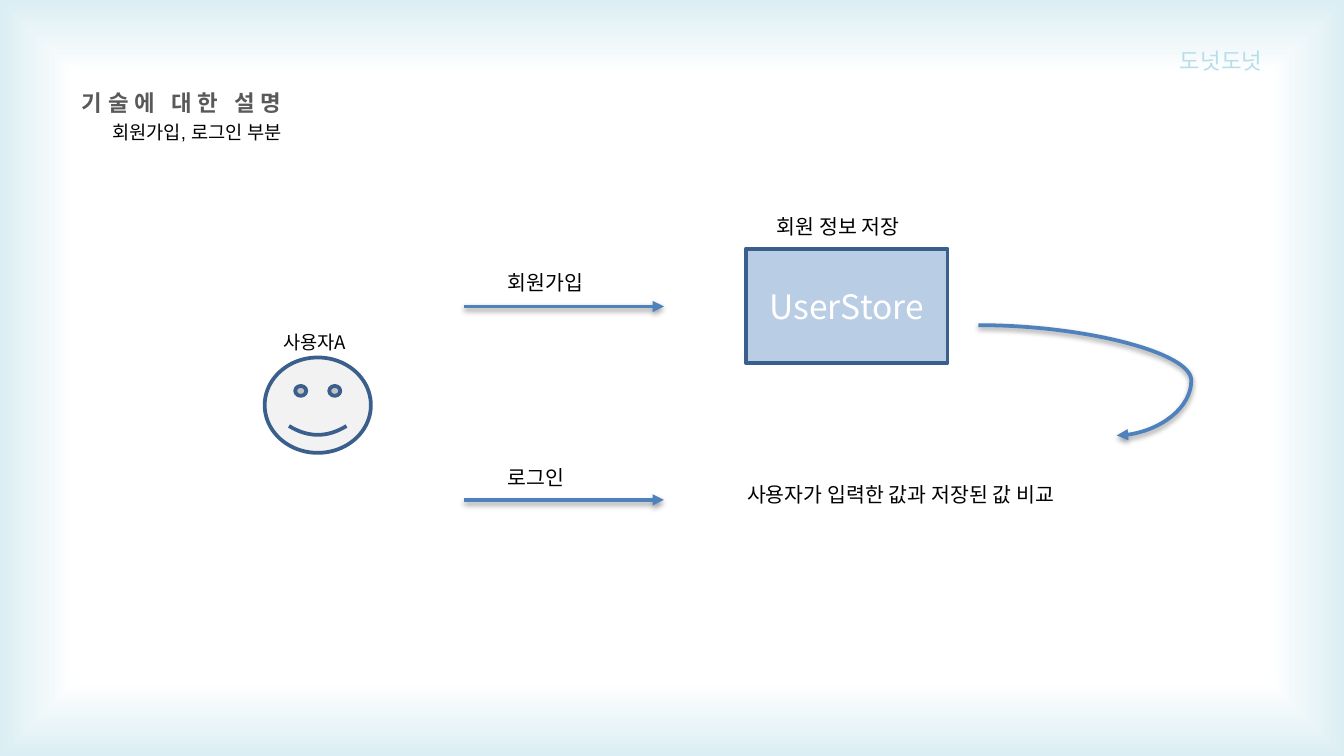
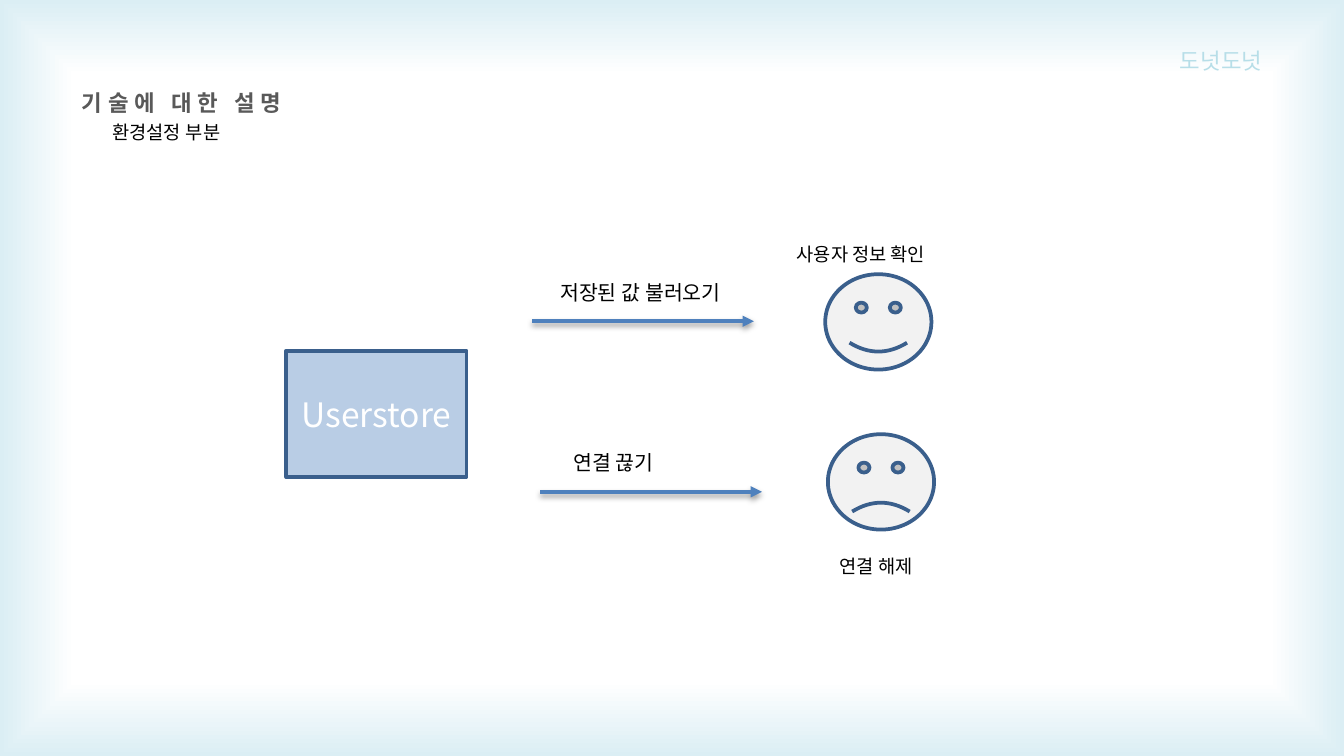
import pptx
import pptx.util
import pptx.dml.color
import pptx.enum.shapes
import pptx.enum.text
import pptx.oxml
import pptx.oxml.ns

Pt = pptx.util.Pt
RGBColor = pptx.dml.color.RGBColor
Align = pptx.enum.text.PP_ALIGN
Anchor = pptx.enum.text.MSO_ANCHOR
AutoSize = pptx.enum.text.MSO_AUTO_SIZE
Shape = pptx.enum.shapes.MSO_SHAPE
Connector = pptx.enum.shapes.MSO_CONNECTOR
NAMESPACE = pptx.oxml.ns.nsdecls("a")

COLORS = {
    "white": "FFFFFF", "edge": "DBEEF4", "team": "B7DEE8", "title": "595959",
    "text": "000000", "store": "B9CDE5", "face": "F2F2F2",
    "outline": "3A5F8C", "arrow": "4F81BD",
}
KOREAN = "Noto Sans CJK KR"

# Text styles: font values, colour and alignment
STYLES = {
    "team": ({"size": Pt(12), "name": KOREAN}, "team", Align.RIGHT),
    "title": ({"size": Pt(12), "name": KOREAN, "bold": True}, "title", Align.LEFT),
    "subtitle": ({"size": Pt(10), "name": "Arial"}, "text", Align.LEFT),
    "caption": ({"size": Pt(10), "name": KOREAN}, "text", Align.LEFT),
    "label": ({"size": Pt(11), "name": KOREAN}, "text", Align.LEFT),
    "store": ({"size": Pt(18), "name": KOREAN}, "white", Align.CENTER),
}
HEIGHTS = {"subtitle": 19.4, "caption": 19.4, "label": 20.9}
FACE_SIZE = (56.9, 51.1)
FROWN = -0.05

# Slide contents, all lengths in points
PAGES = [
    {
        "store": ("UserStore", 399.6, 133.2, 108, 61.2),
        "faces": [(141.8, 191.5, None)],
        "arrows": [
            (Connector.STRAIGHT, 248.4, 164.2, 355.7, 164.2),
            (Connector.STRAIGHT, 248.4, 267.8, 355.7, 267.8),
            (Connector.CURVE, 524.2, 174.2, 598.3, 233.3),
        ],
        "texts": [
            ("subtitle", "회원가입, 로그인 부분", 53.3, 61.2, 114.5),
            ("caption", "사용자A", 144.7, 173.5, 51.8),
            ("label", "회원가입", 265, 141.1, 59),
            ("label", "로그인", 265, 245.5, 47.5),
            ("label", "회원 정보 저장", 409, 110.9, 89.3),
            ("label", "사용자가 입력한 값과 저장된 값 비교", 393.1, 254.9, 200.9),
        ],
    },
    {
        "store": ("Userstore", 153.4, 187.9, 96.5, 67.7),
        "faces": [(442.1, 146.9, None), (443.5, 232.6, FROWN)],
        "arrows": [
            (Connector.STRAIGHT, 285.1, 172.1, 403.9, 172.1),
            (Connector.STRAIGHT, 289.4, 263.5, 408.2, 263.5),
        ],
        "texts": [
            ("subtitle", "환경설정 부분", 53.3, 61.2, 78.5),
            ("label", "저장된 값 불러오기", 293, 146.2, 110.9),
            ("caption", "사용자 정보 확인", 419.8, 126.7, 92.2),
            ("label", "연결 끊기", 300.2, 237.6, 62.6),
            ("caption", "연결 해제", 442.8, 293.8, 58.3),
        ],
    },
]


def write(box, text, style, **frame_format):
    values, color, alignment = STYLES[style]
    for name, value in frame_format.items():
        setattr(box.text_frame, name, value)
    para = box.text_frame.paragraphs[0]
    para.alignment = alignment
    span = para.add_run()
    span.text = text
    for name, value in values.items():
        setattr(span.font, name, value)
    span.font.color.rgb = RGBColor.from_string(COLORS[color])
    # East Asian typeface for the Hangul
    span.font._element.append(pptx.oxml.parse_xml(
        f'<a:ea {NAMESPACE} typeface="{values["name"]}"/>'))
    return span


def paint(shape, fill):
    shape.shadow.inherit = False
    shape.fill.solid()
    shape.fill.fore_color.rgb = RGBColor.from_string(COLORS[fill])
    shape.line.color.rgb = RGBColor.from_string(COLORS["outline"])
    shape.line.width = Pt(2)


deck = pptx.Presentation()
deck.slide_width, deck.slide_height = Pt(720), Pt(405)
layout = deck.slide_layouts[5]

# Shared background: white centre fading to pale blue edges
background = layout.background.fill
background.gradient()
for stop, position, color in zip(background.gradient_stops, (0.8, 1), ("white", "edge")):
    stop.position = position
    stop.color.rgb = RGBColor.from_string(COLORS[color])
linear = layout.element.xpath(".//p:bg//a:lin")[0]
linear.getparent().replace(linear, pptx.oxml.parse_xml(
    f'<a:path {NAMESPACE} path="rect">'
    '<a:fillToRect l="50000" t="50000" r="50000" b="50000"/></a:path>'))

for content in PAGES:
    page = deck.slides.add_slide(layout)

    # Team name and title
    team = page.shapes.add_textbox(Pt(348.5), Pt(21.6), Pt(334.8), Pt(21.8))
    write(team, "도넛도넛", "team", word_wrap=True, auto_size=AutoSize.SHAPE_TO_FIT_TEXT)
    title = page.shapes.title
    title.left, title.top, title.width, title.height = Pt(36.7), Pt(43.9), Pt(289.4), Pt(21.8)
    span = write(title, "기술에 대한 설명", "title", word_wrap=True,
                 vertical_anchor=Anchor.TOP, auto_size=AutoSize.SHAPE_TO_FIT_TEXT)
    span.font._element.set("spc", "300")

    # Data store
    name, *place = content["store"]
    store = page.shapes.add_shape(Shape.RECTANGLE, *map(Pt, place))
    paint(store, "store")
    write(store, name, "store", word_wrap=True, vertical_anchor=Anchor.MIDDLE)

    # Users
    for left, top, mouth in content["faces"]:
        face = page.shapes.add_shape(Shape.SMILEY_FACE, Pt(left), Pt(top), *map(Pt, FACE_SIZE))
        paint(face, "face")
        if mouth is not None:
            face.adjustments[0] = mouth

    # Arrows with a soft shadow
    for kind, *ends in content["arrows"]:
        arrow = page.shapes.add_connector(kind, *map(Pt, ends))
        arrow.line.color.rgb = RGBColor.from_string(COLORS["arrow"])
        arrow.line.width = Pt(2)
        arrow.line._ln.append(pptx.oxml.parse_xml(f'<a:tailEnd {NAMESPACE} type="triangle"/>'))
        properties = arrow._element.spPr
        properties.append(pptx.oxml.parse_xml(
            f'<a:effectLst {NAMESPACE}><a:outerShdw blurRad="{Pt(3.1)}" dist="{Pt(1.6)}" '
            'dir="5400000" rotWithShape="0"><a:srgbClr val="000000"><a:alpha val="38000"/>'
            '</a:srgbClr></a:outerShdw></a:effectLst>'))
        if kind == Connector.CURVE:
            geometry = properties.xpath("./a:prstGeom")[0]
            for guides in geometry.xpath("./a:avLst"):
                geometry.remove(guides)
            geometry.append(pptx.oxml.parse_xml(
                f'<a:avLst {NAMESPACE}><a:gd name="adj1" fmla="val 153900"/></a:avLst>'))

    # Subtitle, labels and captions
    for style, text, left, top, width in content["texts"]:
        box = page.shapes.add_textbox(Pt(left), Pt(top), Pt(width), Pt(HEIGHTS[style]))
        write(box, text, style, word_wrap=False, auto_size=AutoSize.SHAPE_TO_FIT_TEXT)

deck.save("out.pptx")
